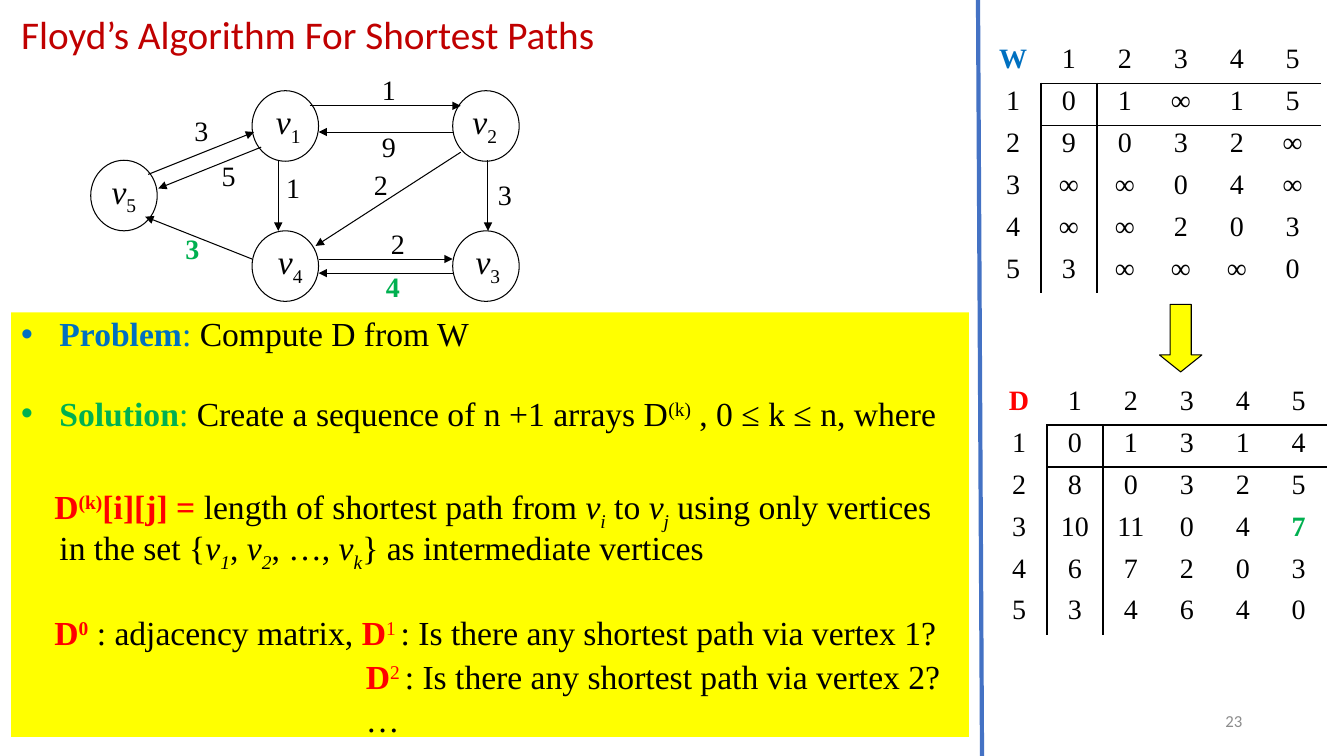
from lxml.etree import SubElement
from pptx import Presentation
from pptx.dml.color import RGBColor
from pptx.enum.shapes import MSO_CONNECTOR, MSO_SHAPE
from pptx.enum.text import MSO_ANCHOR, MSO_AUTO_SIZE, PP_ALIGN
from pptx.oxml import parse_xml
from pptx.oxml.ns import nsdecls, qn
from pptx.util import Inches, Pt

BLACK = RGBColor(0x00, 0x00, 0x00)
WHITE = RGBColor(0xFF, 0xFF, 0xFF)
YELLOW = RGBColor(0xFF, 0xFF, 0x00)
RED = RGBColor(0xFF, 0x00, 0x00)
DARK_RED = RGBColor(0xC0, 0x00, 0x00)
BLUE = RGBColor(0x00, 0x70, 0xC0)
GREEN = RGBColor(0x00, 0xB0, 0x50)
DIVIDER_BLUE = RGBColor(0x44, 0x72, 0xC4)
GREY = RGBColor(0x8C, 0x8C, 0x8C)
SERIF, SANS = "Times New Roman", "Calibri"
NO_GRID_STYLE = "{2D5ABB26-0587-4C30-8999-92F81FD0307C}"

TITLE = "Floyd’s Algorithm For Shortest Paths"
PAGE = "23"

# name, heading colour, left, top, rows, highlighted cells
MATRICES = [
    ("W", BLUE, 9.77, 0.41, ["0 1 ∞ 1 5", "9 0 3 2 ∞", "∞ ∞ 0 4 ∞", "∞ ∞ 2 0 3", "3 ∞ ∞ ∞ 0"], []),
    ("D", RED, 9.83, 3.8, ["0 1 3 1 4", "8 0 3 2 5", "10 11 0 4 7", "6 7 2 0 3", "3 4 6 4 0"], [(3, 5)]),
]
CELL_W, CELL_H = 3.33 / 6, 2.5 / 6

# vertex number: column, row, left inset
VERTICES = {"1": (1, 0, 0.14), "2": (2, 0, 0.1), "4": (1, 2, 0.16), "3": (2, 2, 0.13), "5": (0, 1, 0.11)}
COLUMN_X = [0.9, 2.5, 4.49]
ROW_Y = [0.9, 1.59, 2.29]
VERTEX_W, VERTEX_H = 0.66, 0.7

# start, end, weight, weight position, weight colour
EDGES = [
    ((1.47, 1.73), (2.52, 1.31), "3", (1.83, 1.08), BLACK),
    ((2.59, 1.46), (1.57, 1.87), "5", (2.1, 1.52), BLACK),
    ((4.57, 1.51), (3.13, 2.44), "2", (3.61, 1.61), BLACK),
    ((3.07, 1.05), (4.57, 1.05), "1", (3.69, 0.67), BLACK),
    ((4.49, 1.31), (3.16, 1.31), "9", (3.69, 1.24), BLACK),
    ((3.16, 2.57), (4.49, 2.57), "2", (3.78, 2.2), BLACK),
    ((4.49, 2.71), (3.16, 2.71), "4", (3.73, 2.62), GREEN),
    ((2.76, 1.59), (2.76, 2.29), "1", (2.74, 1.64), BLACK),
    ((4.84, 1.59), (4.84, 2.29), "3", (4.84, 1.71), BLACK),
    ((2.5, 2.57), (1.44, 2.15), "3", (1.74, 2.25), GREEN),
]

# Style letters: b bold, i italic, ^ superscript, _ subscript
# margin, first-line indent, space before, bullet, runs
BODY = [
    (0.38, -0.38, 0, True, [("Problem", "b", BLUE), (": ", "", BLUE), ("Compute D from W", "", BLACK)]),
    (0.38, -0.38, 31, True, [
        ("Solution", "b", GREEN), (": ", "", GREEN),
        ("Create a sequence of n +1 arrays D", "", BLACK), ("(k)", "^", BLACK),
        (" , 0 ≤ k ≤ n, where", "", BLACK)]),
    (0.38, -0.05, 38, False, [
        ("D", "b", RED), ("(k)", "b^", RED), ("[i][j] = ", "b", RED),
        ("length of shortest path from ", "", BLACK), ("v", "i", BLACK), ("i", "i_", BLACK),
        (" to ", "", BLACK), ("v", "i", BLACK), ("j", "i_", BLACK),
        (" using only vertices in the set {", "", BLACK),
        ("v", "i", BLACK), ("1", "i_", BLACK), (", ", "", BLACK),
        ("v", "i", BLACK), ("2", "i_", BLACK), (", …, ", "", BLACK),
        ("v", "i", BLACK), ("k", "i_", BLACK), ("} as intermediate vertices", "", BLACK)]),
    (0.38, -0.05, 34, False, [
        ("D", "b", RED), ("0", "b^", RED), (" : adjacency matrix, ", "", BLACK),
        ("D", "b", RED), ("1 ", "^", RED), (": Is there any shortest path via vertex 1?", "", BLACK)]),
    (3.42, 0, 5, False, [
        ("D", "b", RED), ("2 ", "^", RED), (": Is there any shortest path via vertex 2?", "", BLACK)]),
    (3.42, 0, 5, False, [("…", "", BLACK)]),
]


def box(*lengths):
    return [Inches(v) for v in lengths]


def add_run(p, text, size, color, font=SERIF, style=""):
    r = p.add_run()
    r.text = text
    formats = {"name": font, "size": Pt(size), "bold": "b" in style, "italic": "i" in style}
    for key, value in formats.items():
        setattr(r.font, key, value)
    r.font.color.rgb = color
    for mark, baseline in (("^", "30000"), ("_", "-25000")):
        if mark in style:
            r.font._element.set("baseline", baseline)


def set_insets(frame, left, top, right, bottom):
    for side, value in zip(("left", "top", "right", "bottom"), (left, top, right, bottom)):
        setattr(frame, f"margin_{side}", Inches(value))


def add_line(s, start, end, color=BLACK, width=0.75, arrow=True):
    line = s.shapes.add_connector(MSO_CONNECTOR.STRAIGHT, *box(*start, *end))
    line.line.color.rgb = color
    line.line.width = Pt(width)
    if arrow:
        SubElement(line.line._get_or_add_ln(), qn("a:tailEnd"), type="triangle")
    SubElement(line._element.spPr, qn("a:effectLst"))


def add_outlined(s, kind, fill, *place):
    sp = s.shapes.add_shape(kind, *box(*place))
    sp.shadow.inherit = False
    sp.fill.solid()
    sp.fill.fore_color.rgb = fill
    sp.line.color.rgb = BLACK
    sp.line.width = Pt(0.75)
    return sp


def add_label(s, text, place, size, color, font=SERIF, style=""):
    tf = s.shapes.add_textbox(*box(*place)).text_frame
    tf.word_wrap = True
    add_run(tf.paragraphs[0], text, size, color, font, style)
    return tf


def add_matrix(s, name, color, left, top, rows, highlights):
    grid = [[name, *"12345"]] + [[str(i), *row.split()] for i, row in enumerate(rows, 1)]
    n = len(grid)
    table = s.shapes.add_table(n, n, *box(left, top, CELL_W * n, CELL_H * n)).table
    table.first_row = table.horz_banding = False
    table._tbl.tblPr.find(qn("a:tableStyleId")).text = NO_GRID_STYLE
    for i in range(n):
        table.columns[i].width = Inches(CELL_W)
        table.rows[i].height = Inches(CELL_H)
    for r, row in enumerate(grid):
        for c, text in enumerate(row):
            cell = table.cell(r, c)
            set_insets(cell, 0.04, 0.02, 0.04, 0.02)
            cell.fill.background()
            p = cell.text_frame.paragraphs[0]
            p.alignment = PP_ALIGN.CENTER
            ink = color if r == c == 0 else GREEN if (r, c) in highlights else BLACK
            add_run(p, text, 20, ink, style="" if ink == BLACK else "b")
            rules = {"lnL": c == 1 and r > 0, "lnR": c == 0 and r > 0,
                     "lnT": r == 1 and c > 0, "lnB": r == 0 and c > 0}
            borders = [side for side, shown in rules.items() if shown]
            for i, side in enumerate(borders):
                cell._tc.get_or_add_tcPr().insert(i, parse_xml(
                    f'<a:{side} {nsdecls("a")} w="12700"><a:solidFill>'
                    f'<a:srgbClr val="{BLACK}"/></a:solidFill></a:{side}>'))


def add_graph(s):
    for number, (col, row, inset) in VERTICES.items():
        sp = add_outlined(s, MSO_SHAPE.OVAL, WHITE, COLUMN_X[col], ROW_Y[row], VERTEX_W, VERTEX_H)
        tf = sp.text_frame
        set_insets(tf, inset, 0, 0, 0.05)
        tf.vertical_anchor = MSO_ANCHOR.TOP
        p = tf.paragraphs[0]
        p.alignment = PP_ALIGN.LEFT
        add_run(p, "v", 24, BLACK, style="i")
        add_run(p, number, 24, BLACK, style="_")
    for start, end, weight, position, color in EDGES:
        add_line(s, start, end)
        add_label(s, weight, (*position, 0.44, 0.46), 20, color, style="b" if color == GREEN else "")


def place_frame(sp, anchor, *place):
    for key, value in zip(("left", "top", "width", "height"), box(*place)):
        setattr(sp, key, value)
    tf = sp.text_frame
    tf.auto_size = MSO_AUTO_SIZE.NONE
    tf.word_wrap = True
    tf.vertical_anchor = anchor
    return tf


def fill_body(sp):
    tf = place_frame(sp, MSO_ANCHOR.TOP, 0.11, 3.1, 9.5, 4.21)
    sp.fill.solid()
    sp.fill.fore_color.rgb = YELLOW
    for i, (margin, indent, before, bullet, runs) in enumerate(BODY):
        p = tf.add_paragraph() if i else tf.paragraphs[0]
        p.line_spacing = 0.9
        p.space_before = Pt(before)
        pPr = p._p.get_or_add_pPr()
        pPr.set("marL", str(Inches(margin)))
        pPr.set("indent", str(Inches(indent)))
        if bullet:
            SubElement(pPr, qn("a:buChar"), char="•")
        else:
            SubElement(pPr, qn("a:buNone"))
        for text, style, color in runs:
            add_run(p, text, 24, color, style=style)


def main():
    prs = Presentation()
    prs.slide_width, prs.slide_height = box(13.33, 7.5)
    s = prs.slides.add_slide(prs.slide_layouts[1])

    p = place_frame(s.shapes.title, MSO_ANCHOR.MIDDLE, 0.11, 0.08, 9, 0.57).paragraphs[0]
    p.alignment = PP_ALIGN.LEFT
    p.line_spacing = 0.9
    add_run(p, TITLE, 28, DARK_RED, SANS)
    fill_body(s.placeholders[1])

    for matrix in MATRICES:
        add_matrix(s, *matrix)
    add_graph(s)
    arrow = add_outlined(s, MSO_SHAPE.DOWN_ARROW, YELLOW, 11.5, 3.02, 0.42, 0.67)
    arrow.adjustments[1] = 0.4
    add_line(s, (9.7, 0), (9.74, 7.5), DIVIDER_BLUE, 3, arrow=False)

    tf = add_label(s, PAGE, (9.42, 6.95, 3, 0.4), 12, GREY, SANS)
    tf.vertical_anchor = MSO_ANCHOR.MIDDLE
    tf.paragraphs[0].alignment = PP_ALIGN.RIGHT
    prs.save("out.pptx")


if __name__ == "__main__":
    main()
